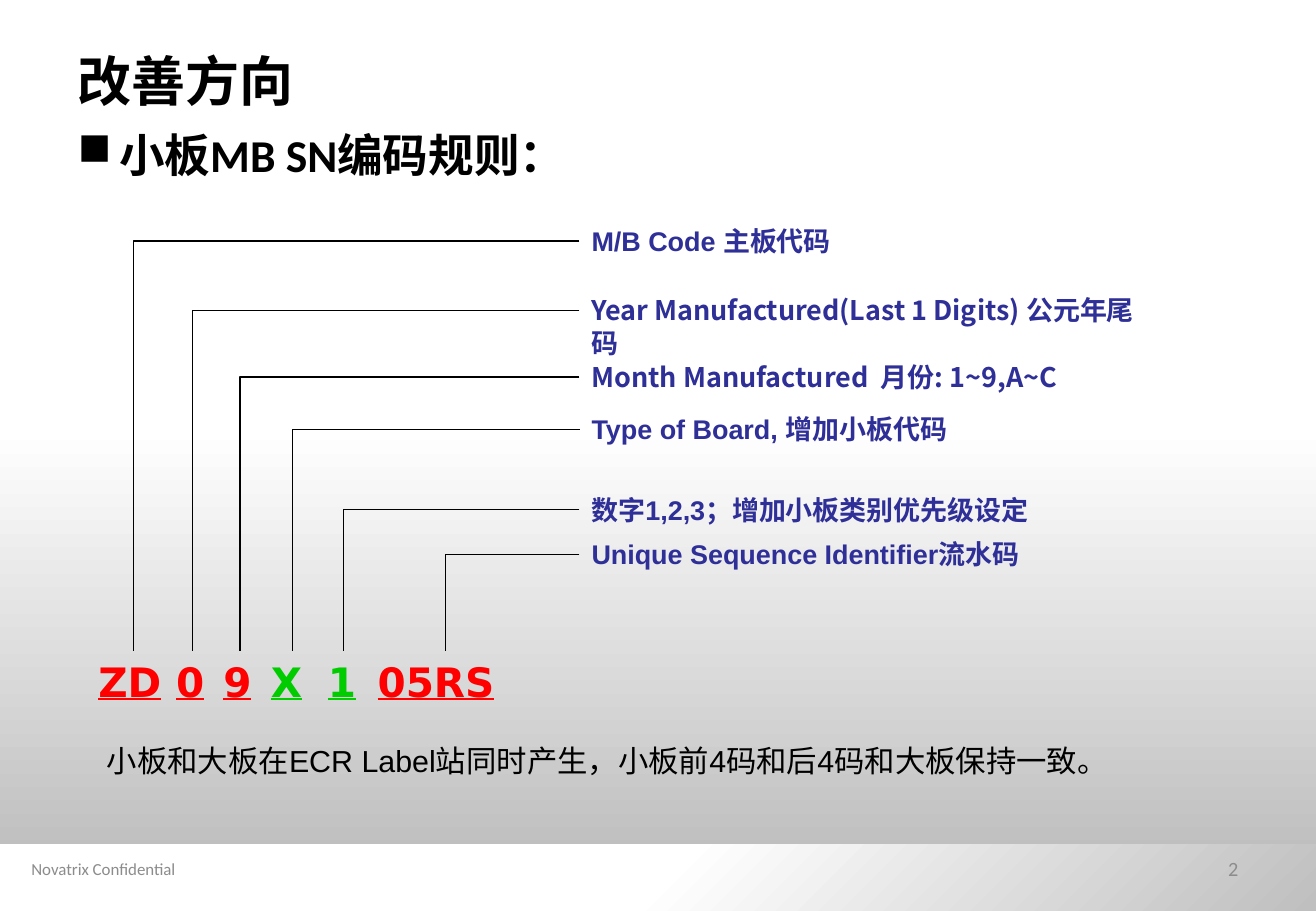
import pptx
import pptx.dml.color
import pptx.enum.shapes
import pptx.enum.text
import pptx.oxml
import pptx.oxml.ns
import pptx.util
from dataclasses import dataclass

SLIDE_WIDTH = pptx.util.Inches(10.83)
SLIDE_HEIGHT = pptx.util.Inches(7.5)
ALIGN = pptx.enum.text.PP_ALIGN
ANCHOR = pptx.enum.text.MSO_ANCHOR


@dataclass(frozen=True)
class Theme:
    black: str = "000000"
    grey: str = "8C8C8C"
    shade: str = "BFBFBF"
    white: str = "FFFFFF"
    navy: str = "2F2F98"
    red: str = "FF0000"
    green: str = "00CC00"
    cjk: str = "Noto Sans CJK SC"
    heading: str = "Calibri"
    body: str = "Arial"
    code: str = "DejaVu Sans"
    title_size: int = 32
    subtitle_size: int = 27
    code_size: int = 24
    note_size: int = 18
    label_size: int = 16
    number_size: int = 12
    footer_size: int = 10


THEME = Theme()

# Shares of the slide, in percent
CODE_TOP, CODE_HEIGHT = 71.47, 6.67
LABEL_LEFT, LABEL_WIDTH, LABEL_HEIGHT = 44.04, 44.8, 4.93

# Code part, colour, left, width, label, label font, label top
FIELDS = [
    ("ZD", THEME.red, 6.56, 7.2, "M/B Code 主板代码", THEME.body, 24),
    ("0", THEME.red, 12.47, 4.34,
     "Year Manufactured(Last 1 Digits) 公元年尾码", THEME.cjk, 31.6),
    ("9", THEME.red, 16.07, 4.34,
     "Month Manufactured  月份: 1~9,A~C", THEME.cjk, 38.93),
    ("X", THEME.green, 19.67, 5.08,
     "Type of Board, 增加小板代码", THEME.body, 44.67),
    ("1", THEME.green, 24.01, 4.16,
     "数字1,2,3；增加小板类别优先级设定", THEME.body, 53.47),
    ("05RS", THEME.red, 27.79, 12.1,
     "Unique Sequence Identifier流水码", THEME.body, 58.4),
]


def rgb(value):
    return pptx.dml.color.RGBColor.from_string(value)


def area(left, top, width, height):
    """Turn percentages of the slide into lengths."""
    return (int(SLIDE_WIDTH * left / 100), int(SLIDE_HEIGHT * top / 100),
            int(SLIDE_WIDTH * width / 100), int(SLIDE_HEIGHT * height / 100))


def xml(markup):
    head, tail = markup.split(" ", 1)
    return pptx.oxml.parse_xml(f"{head} {pptx.oxml.ns.nsdecls('a')} {tail}")


def add_text(slide, place, text, font, size, color, align=ALIGN.LEFT,
             anchor=ANCHOR.TOP, bullet=None, **font_format):
    box = slide.shapes.add_textbox(*area(*place))
    frame = box.text_frame
    frame.word_wrap = True
    frame.vertical_anchor = anchor
    paragraph = frame.paragraphs[0]
    paragraph.alignment = align
    if bullet:
        properties = paragraph._p.get_or_add_pPr()
        indent = pptx.util.Inches(0.34)
        properties.set("marL", str(indent))
        properties.set("indent", str(-indent))
        properties.append(xml(f'<a:buChar char="{bullet}" />'))
    run = paragraph.add_run()
    run.text = text
    font_format.update(name=font, size=pptx.util.Pt(size))
    for attribute, value in font_format.items():
        setattr(run.font, attribute, value)
    run.font.color.rgb = rgb(color)
    run._r.get_or_add_rPr().append(xml(f'<a:ea typeface="{THEME.cjk}" />'))
    return box


def add_band(slide, place, from_corner=False):
    band = slide.shapes.add_shape(
        pptx.enum.shapes.MSO_SHAPE.RECTANGLE, *area(*place))
    band.shadow.inherit = False
    band.line.fill.background()
    band.fill.gradient()
    band.fill.gradient_angle = 90
    stops = zip(band.fill.gradient_stops,
                ((0, THEME.shade), (0.5, THEME.white)))
    for stop, (position, color) in stops:
        stop.position = position
        stop.color.rgb = rgb(color)
    if from_corner:
        linear = band._element.spPr.find(".//" + pptx.oxml.ns.qn("a:lin"))
        linear.getparent().replace(linear, xml(
            '<a:path path="circle"><a:fillToRect l="100000" t="100000"/>'
            '</a:path>'))


def add_leader(slide, label, code):
    """Join a label's left side to the top of its code part."""
    leader = slide.shapes.add_connector(
        pptx.enum.shapes.MSO_CONNECTOR.ELBOW, 0, 0, 0, 0)
    leader.begin_connect(label, 1)
    leader.end_connect(code, 0)
    leader.line.color.rgb = rgb(THEME.black)
    leader.line.width = pptx.util.Pt(0.75)
    properties = leader._element.spPr
    properties.find(pptx.oxml.ns.qn("a:prstGeom")).set(
        "prst", "bentConnector2")
    properties.append(xml("<a:effectLst />"))


def add_field(slide, part, color, left, width, meaning, font, top):
    code = add_text(slide, (left, CODE_TOP, width, CODE_HEIGHT), part,
                    THEME.code, THEME.code_size, color,
                    bold=True, underline=True)
    label = add_text(slide, (LABEL_LEFT, top, LABEL_WIDTH, LABEL_HEIGHT),
                     meaning, font, THEME.label_size, THEME.navy, bold=True)
    add_leader(slide, label, code)


def main():
    deck = pptx.Presentation()
    deck.slide_width, deck.slide_height = SLIDE_WIDTH, SLIDE_HEIGHT
    slide = deck.slides.add_slide(deck.slide_layouts[6])

    # Background
    add_band(slide, (0, 0, 100, 93.73))
    add_band(slide, (0, 92.67, 100, 7.33), from_corner=True)

    # Headings
    add_text(slide, (5, 2.93, 90, 11.6), "改善方向", THEME.cjk,
             THEME.title_size, THEME.black, anchor=ANCHOR.MIDDLE, bold=True)
    add_text(slide, (5, 13.33, 90, 8.53), "小板MB SN编码规则：",
             THEME.heading, THEME.subtitle_size, THEME.black,
             bullet="■", bold=True)

    # Serial number and its meaning
    for field in FIELDS:
        add_field(slide, *field)
    add_text(slide, (7.2, 80.8, 76.73, 5.33),
             "小板和大板在ECR Label站同时产生，小板前4码和后4码和大板保持一致。",
             THEME.body, THEME.note_size, THEME.black)

    # Footer
    add_text(slide, (0, 92.67, 15.7, 5.33), "Novatrix Confidential",
             THEME.heading, THEME.footer_size, THEME.grey,
             align=ALIGN.CENTER, anchor=ANCHOR.MIDDLE)
    add_text(slide, (71.65, 92.67, 23.36, 5.33), "2", THEME.heading,
             THEME.number_size, THEME.grey,
             align=ALIGN.RIGHT, anchor=ANCHOR.MIDDLE)

    deck.save("out.pptx")


if __name__ == "__main__":
    main()
